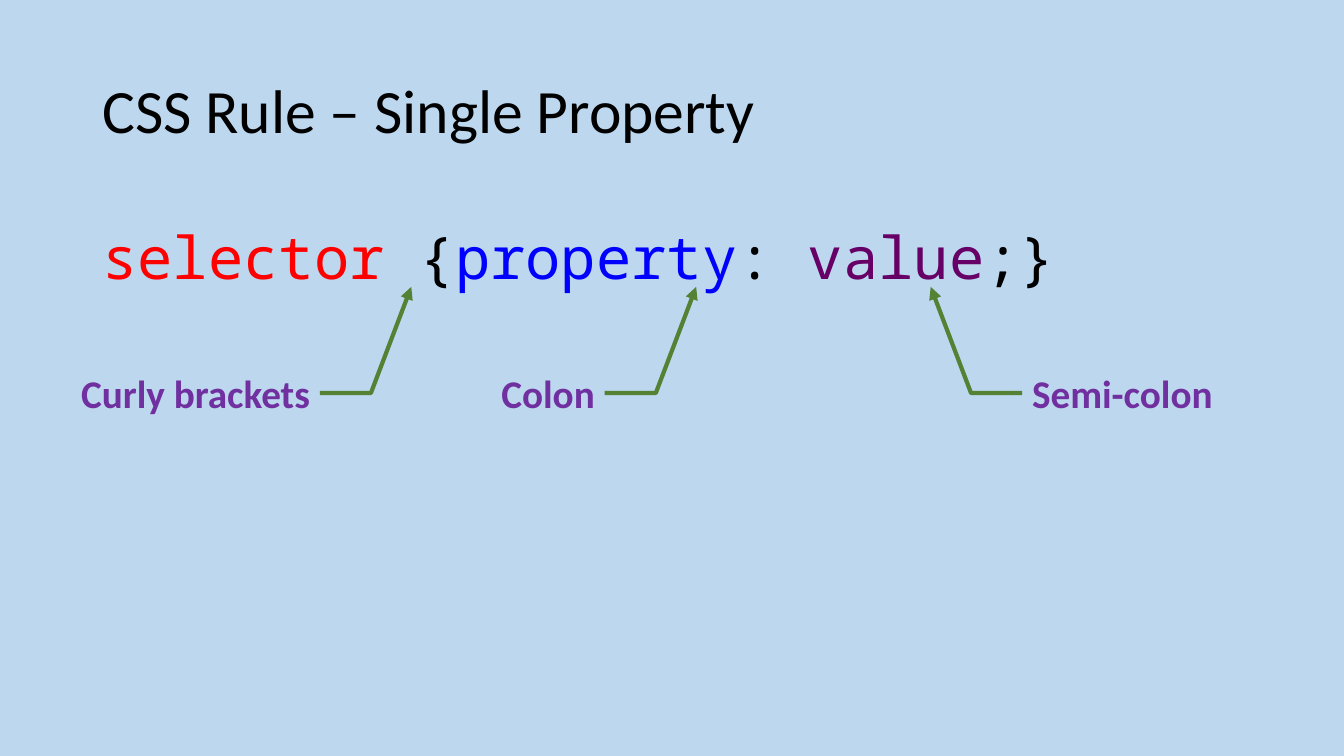
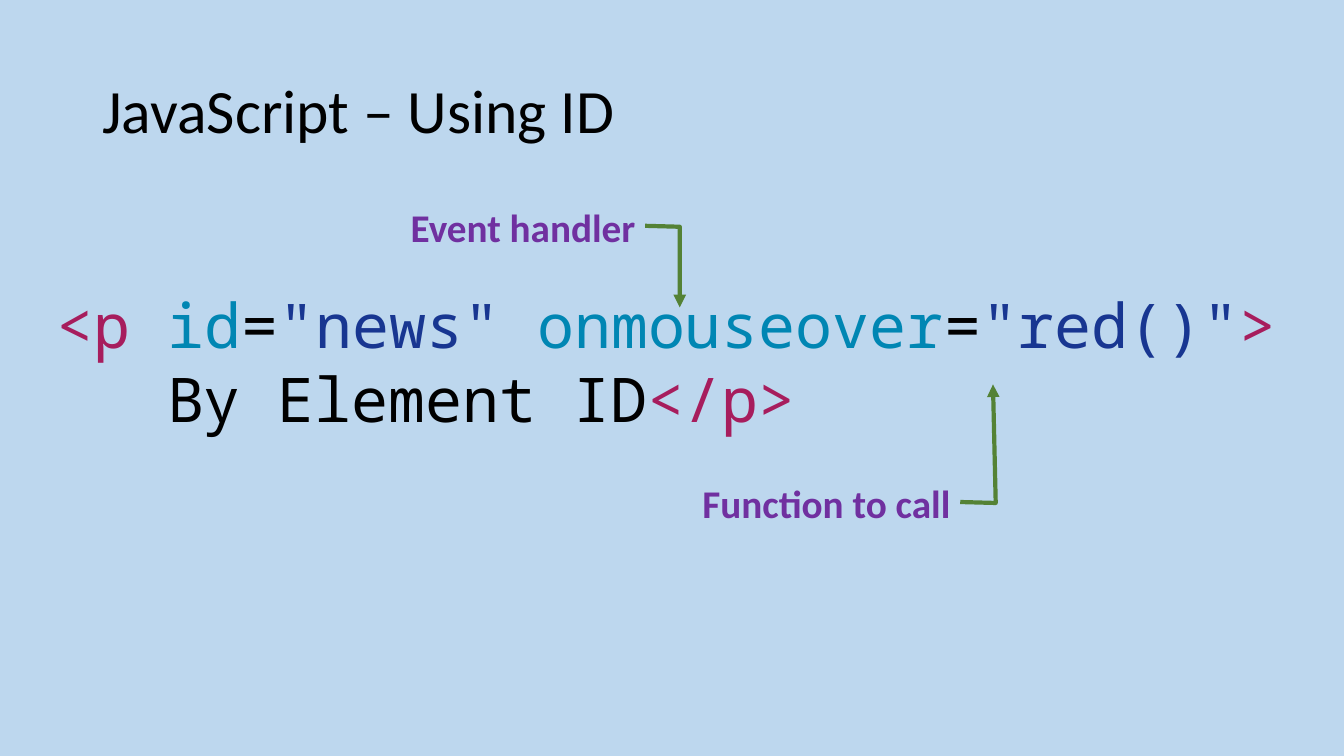
import pptx
import pptx.util
import pptx.dml.color
import pptx.enum.shapes
import pptx.enum.text
import pptx.oxml
import pptx.oxml.ns

Cm = pptx.util.Cm
ALIGN = pptx.enum.text.PP_ALIGN
ANCHOR = pptx.enum.text.MSO_ANCHOR

COLORS = {
    "background": "BDD7EE", "text": "000000", "arrow": "548235", "label": "7030A0",
    "selector": "FF0000", "property": "0000FF", "value": "660066",
    "tag": "A71D5D", "attribute": "0086B3", "string": "183691",
}
FORMATS = {
    "title": {"name": "Calibri", "size": pptx.util.Pt(44)},
    "label": {"name": "Calibri", "size": pptx.util.Pt(28), "bold": True},
    "css": {"name": "Noto Sans Mono", "size": pptx.util.Pt(42)},
    "html": {"name": "Noto Sans Mono", "size": pptx.util.Pt(44)},
}


def rgb(color):
    return pptx.dml.color.RGBColor.from_string(COLORS[color])


class Deck:
    """Holds the shared style and the slide being filled."""

    def __init__(self):
        self.presentation = pptx.Presentation()
        self.presentation.slide_width = Cm(33.87)
        self.presentation.slide_height = Cm(19.05)
        self.slide = None

    def add_slide(self, title):
        blank = self.presentation.slide_layouts[6]
        self.slide = self.presentation.slides.add_slide(blank)
        fill = self.slide.background.fill
        fill.solid()
        fill.fore_color.rgb = rgb("background")
        heading = self.text_frame(2.33, 1.01, 29.21, 3.68, ANCHOR.MIDDLE)
        heading.paragraphs[0].line_spacing = 0.9
        self.styled_run(heading.paragraphs[0], title, "title")

    def text_frame(self, left, top, width, height, anchor=ANCHOR.TOP):
        box = self.slide.shapes.add_textbox(Cm(left), Cm(top), Cm(width), Cm(height))
        frame = box.text_frame
        frame.word_wrap = True
        frame.vertical_anchor = anchor
        return frame

    def styled_run(self, paragraph, text, style, color="text"):
        run = paragraph.add_run()
        run.text = text
        for attribute, setting in FORMATS[style].items():
            setattr(run.font, attribute, setting)
        run.font.color.rgb = rgb(color)

    def code(self, left, top, width, height, style, lines, spacing=1.0, indent=0):
        """Set code lines of (text, colour) tokens; later lines are indented."""
        frame = self.text_frame(left, top, width, height)
        for number, tokens in enumerate(lines):
            paragraph = frame.add_paragraph() if number else frame.paragraphs[0]
            paragraph.line_spacing = spacing
            if number:
                properties = paragraph._p.get_or_add_pPr()
                properties.set("marL", str(Cm(indent)))
                properties.set("indent", "0")
            for text, color in tokens:
                self.styled_run(paragraph, text, style, color)

    def callout(self, text, left, top, width, leader, align=ALIGN.RIGHT):
        """Add a label whose leader runs through (x, y) shares of its box."""
        kind = pptx.enum.shapes.MSO_SHAPE.LINE_CALLOUT_2_NO_BORDER
        label = self.slide.shapes.add_shape(kind, Cm(left), Cm(top), Cm(width), Cm(2.39))
        label.shadow.inherit = False
        label.fill.background()
        label.line.color.rgb = rgb("arrow")
        label.line.width = pptx.util.Pt(3)
        for number, (x, y) in enumerate(leader):
            label.adjustments[2 * number] = y
            label.adjustments[2 * number + 1] = x
        arrowhead = pptx.oxml.parse_xml(
            f'<a:tailEnd {pptx.oxml.ns.nsdecls("a")} type="triangle"/>')
        label.line._get_or_add_ln().append(arrowhead)
        frame = label.text_frame
        frame.word_wrap = True
        frame.vertical_anchor = ANCHOR.MIDDLE
        frame.paragraphs[0].alignment = align
        self.styled_run(frame.paragraphs[0], text, "label", "label")


def css_rule(deck):
    deck.add_slide("CSS Rule – Single Property")
    deck.code(2.33, 5.07, 29.21, 12.09, "css", [[
        ("selector ", "selector"), ("{", "text"), ("property", "property"),
        (": ", "text"), ("value", "value"), (";}", "text"),
    ]], spacing=1.2)

    # Labels below the rule, with leaders to the right or mirrored to the left
    rightward = [(1, 0.5), (1.19, 0.5), (1.34, -0.62)]
    leftward = [(1 - x, y) for x, y in rightward]
    for text, left, leader, align in (
        ("Curly brackets", 1.28, rightward, ALIGN.RIGHT),
        ("Colon", 8.46, rightward, ALIGN.RIGHT),
        ("Semi-colon", 25.76, leftward, ALIGN.LEFT),
    ):
        deck.callout(text, left, 8.71, 6.78, leader, align)


def javascript_id(deck):
    deck.add_slide("JavaScript – Using ID")
    deck.code(1.17, 7.11, 31.55, 10.03, "html", [
        [("<p ", "tag"), ("id", "attribute"), ("=", "text"), ('"news" ', "string"),
         ("onmouseover", "attribute"), ("=", "text"), ('"red()"', "string"), (">", "tag")],
        [("By Element ID", "text"), ("</p>", "tag")],
    ], indent=2.79)

    # Labels above and below the code
    elbow = [(1, 0.49), (1.13, 0.5)]
    deck.callout("Event handler", 9.55, 4.52, 6.71, elbow + [(1.13, 1.35)])
    deck.callout("Function to call", 17.32, 11.48, 6.88, elbow + [(1.12, -0.75)])


def main():
    deck = Deck()
    css_rule(deck)
    javascript_id(deck)
    deck.presentation.save("out.pptx")


if __name__ == "__main__":
    main()
